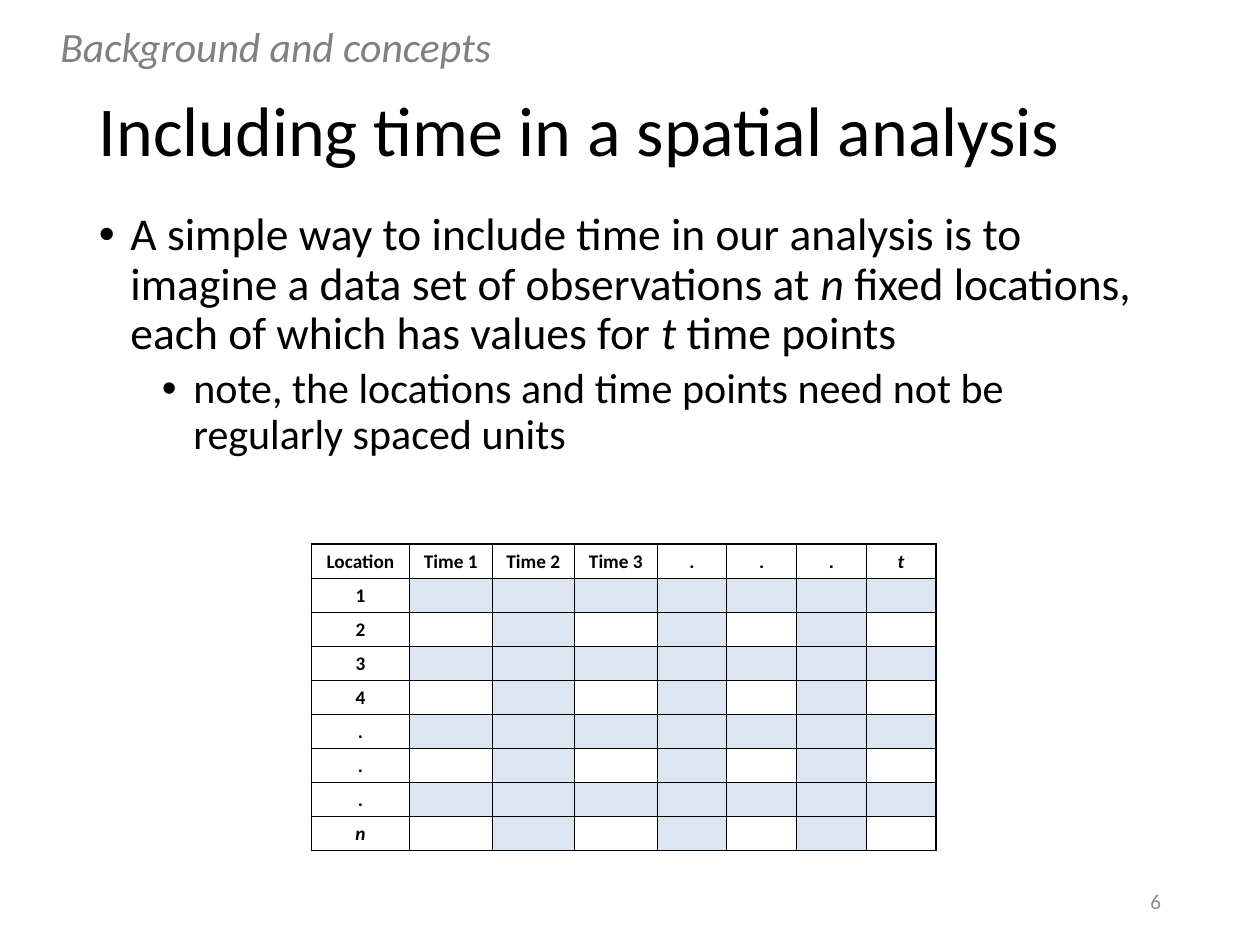
from lxml import etree
from pptx import Presentation
from pptx.dml import color
from pptx.enum import text
from pptx.oxml import ns
from pptx.util import Pt

BLACK, GREY, LIGHT_GREY, PALE_BLUE = "000000", "808080", "8C8C8C", "DCE6F1"
LEFT, CENTER, RIGHT = text.PP_ALIGN.LEFT, text.PP_ALIGN.CENTER, text.PP_ALIGN.RIGHT
TOP, MIDDLE = text.MSO_ANCHOR.TOP, text.MSO_ANCHOR.MIDDLE


def rgb(hex_color):
    return color.RGBColor.from_string(hex_color)


class SlideBuilder:
    font_name = "Calibri"

    def __init__(self, slide):
        self.slide = slide

    def style_run(self, run, size, hex_color=BLACK, bold=False, italic=False):
        font = run.font
        font.name, font.size = self.font_name, Pt(size)
        font.bold, font.italic = bold, italic
        font.color.rgb = rgb(hex_color)

    def text_frame(self, left, top, width, height, anchor=TOP):
        box = self.slide.shapes.add_textbox(Pt(left), Pt(top), Pt(width), Pt(height))
        frame = box.text_frame
        frame.word_wrap = True
        frame.vertical_anchor = anchor
        return frame

    def line(self, words, area, size, hex_color=BLACK, italic=False,
             align=LEFT, spacing=1.0, anchor=TOP):
        frame = self.text_frame(*area, anchor=anchor)
        frame.text = words
        paragraph = frame.paragraphs[0]
        paragraph.alignment = align
        paragraph.line_spacing = spacing
        self.style_run(paragraph.runs[0], size, hex_color, italic=italic)

    def bullets(self, items, area):
        """Each item is (level, size, space before, [(words, italic), ...])."""
        frame = self.text_frame(*area)
        for index, (level, size, space_before, parts) in enumerate(items):
            paragraph = frame.add_paragraph() if index else frame.paragraphs[0]
            properties = paragraph._p.get_or_add_pPr()
            properties.set("marL", str(Pt(18 + 36 * level)))
            properties.set("indent", str(Pt(-18)))
            etree.SubElement(properties, ns.qn("a:buFont"), typeface="Arial")
            etree.SubElement(properties, ns.qn("a:buChar"), char="•")
            paragraph.level = level
            paragraph.line_spacing = 0.9
            paragraph.space_before = Pt(space_before)
            for words, italic in parts:
                run = paragraph.add_run()
                run.text = words
                self.style_run(run, size, italic=italic)

    def border(self, cell, side, width):
        properties = cell._tc.get_or_add_tcPr()
        edge = etree.SubElement(properties, ns.qn(f"a:ln{side}"), w=str(Pt(width)))
        fill = etree.SubElement(edge, ns.qn("a:solidFill"))
        etree.SubElement(fill, ns.qn("a:srgbClr"), val=BLACK)

    def cell(self, cell, words, size, fill, widths):
        for side, width in widths.items():
            self.border(cell, side, width)
        if fill:
            cell.fill.solid()
            cell.fill.fore_color.rgb = rgb(fill)
        else:
            cell.fill.background()
        cell.margin_left = cell.margin_right = cell.margin_top = Pt(0.72)
        cell.margin_bottom = Pt(0)
        cell.vertical_anchor = MIDDLE
        paragraph = cell.text_frame.paragraphs[0]
        paragraph.alignment = CENTER
        if words:
            paragraph.text = words
            self.style_run(paragraph.runs[0], size, bold=True, italic=words in ("n", "t"))
        else:
            # Keep empty cells from stretching their row
            etree.SubElement(paragraph._p, ns.qn("a:endParaRPr"), sz=str(size * 100))

    def grid(self, header, row_labels, left, top, column_widths, row_height, size):
        row_count, column_count = len(row_labels) + 1, len(header)
        table = self.slide.shapes.add_table(
            row_count, column_count, Pt(left), Pt(top),
            Pt(sum(column_widths)), Pt(row_height * row_count)).table
        table.first_row = table.horz_banding = False
        for column, width in zip(table.columns, column_widths):
            column.width = Pt(width)
        for row_index, row in enumerate(table.rows):
            row.height = Pt(row_height)
            for column_index, cell in enumerate(row.cells):
                # Labels on the top and left; every other row and column tinted
                words, fill = "", None
                if row_index == 0:
                    words = header[column_index]
                elif column_index == 0:
                    words = row_labels[row_index - 1]
                elif row_index % 2 or column_index % 2 == 0:
                    fill = PALE_BLUE
                outer = {"L": column_index == 0, "R": column_index == column_count - 1,
                         "T": row_index == 0, "B": row_index == row_count - 1}
                widths = {side: 1 if edge else 0.5 for side, edge in outer.items()}
                self.cell(cell, words, size, fill, widths)


def main():
    presentation = Presentation()
    presentation.slide_width, presentation.slide_height = Pt(720), Pt(540)
    builder = SlideBuilder(presentation.slides.add_slide(presentation.slide_layouts[6]))

    # Title
    builder.line("Including time in a spatial analysis", (49.5, 35.3, 621, 82), 40,
                 spacing=0.9, anchor=MIDDLE)

    # Main points
    builder.bullets([
        (0, 26, 0, [
            ("A simple way to include time in our analysis is to imagine "
             "a data set of observations at ", False),
            ("n ", True),
            ("fixed locations, each of which has values for ", False),
            ("t ", True),
            ("time points", False)]),
        (1, 24, 5, [
            ("note, the locations and time points need not be "
             "regularly spaced units", False)]),
    ], (49.5, 117.4, 621, 369.4))

    # Section label and slide number
    builder.line("Background and concepts", (27.4, 13.7, 280.8, 38.2), 23.8, GREY,
                 italic=True, spacing=0.8)
    builder.line("6", (508.5, 500.5, 162, 28.8), 12, LIGHT_GREY, align=RIGHT, anchor=MIDDLE)

    # Location by time table
    builder.grid(["Location", "Time 1", "Time 2", "Time 3", ".", ".", ".", "t"],
                 ["1", "2", "3", "4", ".", ".", ".", "n"],
                 left=178, top=311, column_widths=[56] + [47.2] * 3 + [39.8] * 4,
                 row_height=19.45, size=11)

    presentation.save("out.pptx")


if __name__ == "__main__":
    main()
